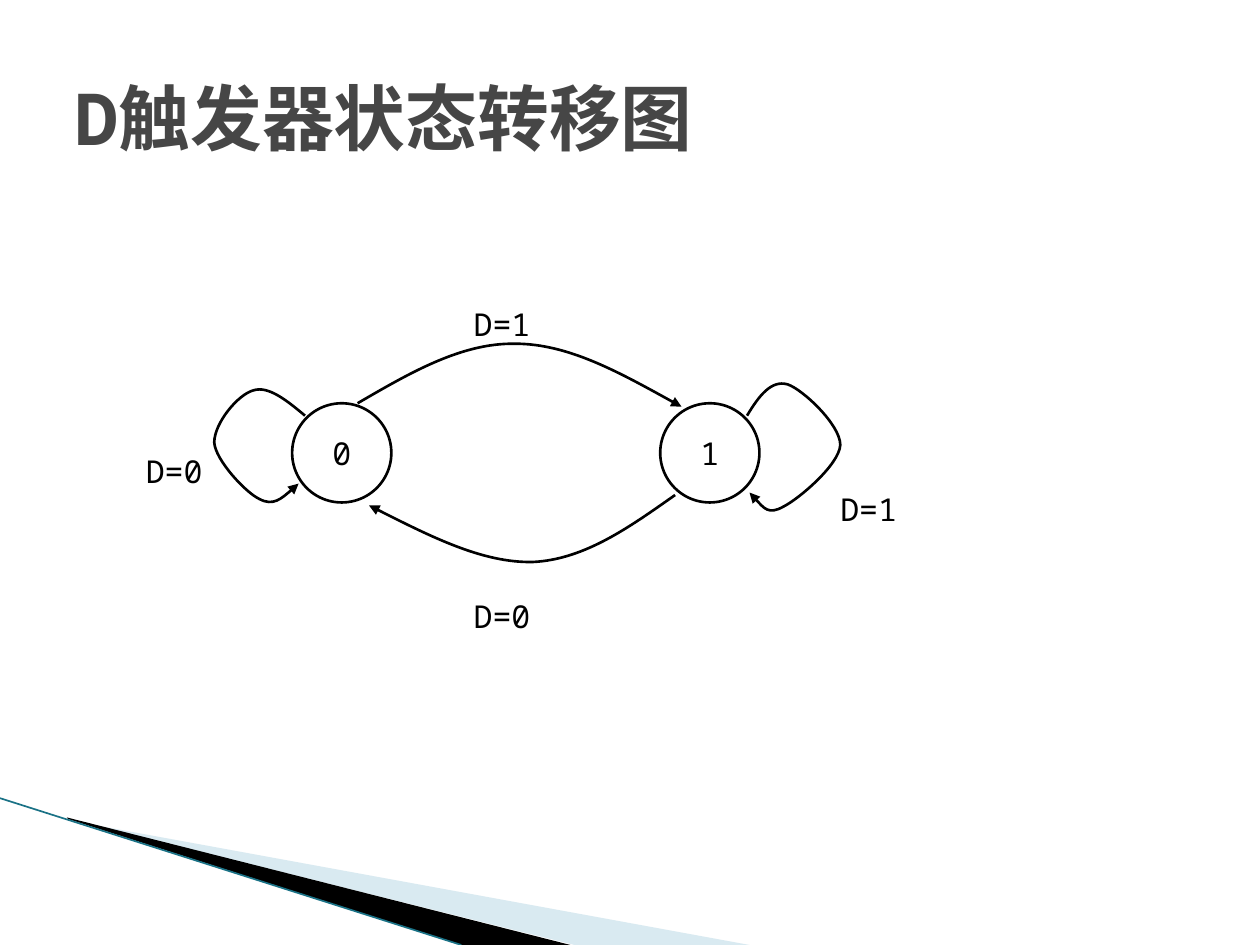
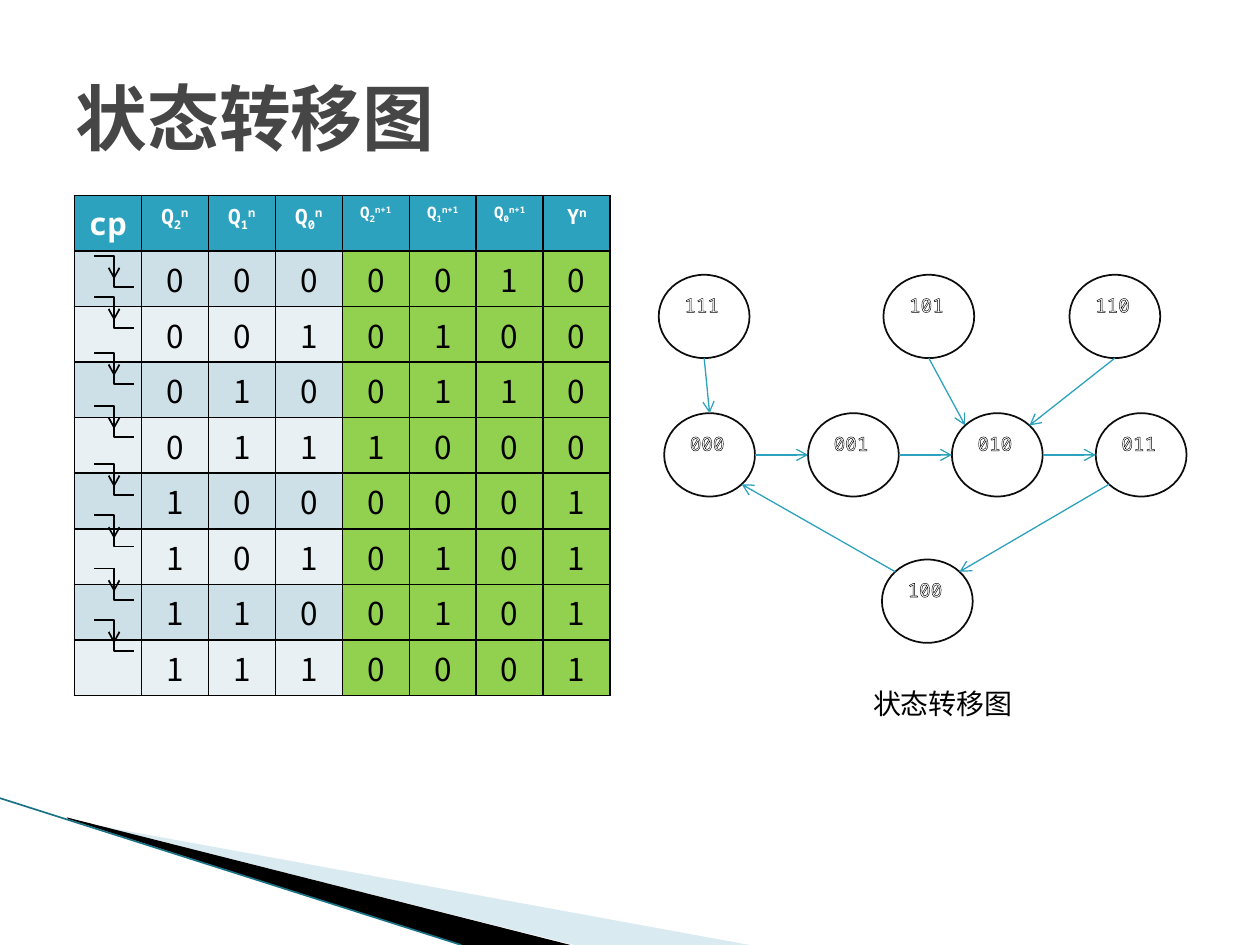
"""Build two slides on flip-flop state transition diagrams."""
from dataclasses import dataclass
from math import sqrt

from lxml import etree
from pptx import Presentation
from pptx.dml.color import RGBColor
from pptx.enum.shapes import MSO_CONNECTOR, MSO_SHAPE
from pptx.enum.text import MSO_ANCHOR, MSO_AUTO_SIZE, PP_ALIGN
from pptx.oxml.ns import qn
from pptx.util import Cm, Pt

STRAIGHT, ELBOW = MSO_CONNECTOR.STRAIGHT, MSO_CONNECTOR.ELBOW
OVAL = MSO_SHAPE.OVAL
TOP, MIDDLE = MSO_ANCHOR.TOP, MSO_ANCHOR.MIDDLE
LEFT, CENTER = PP_ALIGN.LEFT, PP_ALIGN.CENTER
NO_FIT, GROW = MSO_AUTO_SIZE.NONE, MSO_AUTO_SIZE.SHAPE_TO_FIT_TEXT

Point = tuple[float, float]


@dataclass(frozen=True)
class Theme:
    font: str = "Noto Sans Mono"
    cjk_font: str = "Noto Sans CJK SC"
    title: str = "464646"
    ink: str = "000000"
    paper: str = "FFFFFF"
    accent: str = "2DA2BF"
    ring: str = "0D0D0D"
    wash: str = "A0CBDC"
    edge: str = "1A7286"
    next_state: str = "92D050"
    row_fills: tuple[str, str] = ("CDE0E8", "E8F0F4")
    title_size: float = 41
    body_size: float = 18
    caption_size: float = 16
    header_size: float = 12
    small_header_size: float = 9
    code_size: float = 11


@dataclass(frozen=True)
class State:
    code: str
    left: float
    top: float
    width: float
    height: float

    def site(self, across: int, down: int) -> Point:
        """Return the rim point in the given direction."""
        reach = sqrt(across ** 2 + down ** 2)
        return (self.left + self.width / 2 * (1 + across / reach),
                self.top + self.height / 2 * (1 + down / reach))


@dataclass(frozen=True)
class Transition:
    condition: str
    label_at: Point
    curve: tuple[Point, ...]


@dataclass(frozen=True)
class Heading:
    letter: str
    index: str
    moment: str
    size: float


THEME = Theme()

FLIP_FLOP_STATES = (State("0", 5.89, 8.13, 2, 2), State("1", 13.31, 8.13, 2, 2))
TRANSITIONS = (
    Transition("D=1", (9.3, 6.02), (
        (7.21, 8.13), (8.26, 7.52), (9.3, 6.91), (10.39, 6.93),
        (11.46, 6.93), (12.6, 7.57), (13.74, 8.2))),
    Transition("D=0", (9.3, 11.91), (
        (13.61, 9.98), (12.7, 10.62), (11.79, 11.28), (10.74, 11.33),
        (9.73, 11.35), (8.59, 10.77), (7.44, 10.19))),
    Transition("D=0", (2.69, 8.99), (
        (6.15, 8.38), (5.79, 8.08), (5.41, 7.77), (5.11, 7.87),
        (4.8, 7.95), (4.32, 8.53), (4.32, 8.92),
        (4.34, 9.27), (4.95, 9.93), (5.23, 10.06),
        (5.51, 10.21), (5.77, 9.98), (6.02, 9.75))),
    Transition("D=1", (16.69, 9.75), (
        (15.06, 8.38), (15.29, 8), (15.54, 7.65), (15.88, 7.75),
        (16.18, 7.85), (16.94, 8.56), (16.94, 8.97),
        (16.92, 9.37), (16.1, 10.06), (15.8, 10.21),
        (15.49, 10.39), (15.32, 10.16), (15.11, 9.93))),
)

HEADINGS = (
    Heading("cp", "", "", THEME.body_size),
    *(Heading("Q", i, "n", THEME.header_size) for i in "210"),
    *(Heading("Q", i, "n+1", THEME.small_header_size) for i in "210"),
    Heading("Y", "", "n", THEME.header_size),
)
NEXT_AND_OUTPUT = ("0010", "0100", "0110", "1000", "0001", "0101", "0101", "0001")
TABLE_LEFT, TABLE_TOP, COLUMN, ROW = 1.5, 3.94, 1.35, 1.12
FIRST_NEXT_COLUMN = 4
CLOCK_TOPS = (5.16, 5.99, 7.11, 8.18, 9.35, 10.39, 11.46, 12.5)

COUNTER_PLACES = {
    **{f"{n:03b}": (13.39 + 2.9 * n, 8.33) for n in range(4)},
    "100": (17.78, 11.28),
    "111": (13.28, 5.54), "101": (17.81, 5.54), "110": (21.56, 5.54),
}
COUNTER_STEPS = (
    ("000", (1, 0), "001", (-1, 0)),
    ("001", (1, 0), "010", (-1, 0)),
    ("010", (1, 0), "011", (-1, 0)),
    ("111", (0, 1), "000", (0, -1)),
    ("101", (0, 1), "010", (-1, -1)),
    ("110", (0, 1), "010", (1, -1)),
    ("011", (-1, 1), "100", (1, -1)),
    ("100", (-1, -1), "000", (1, 1)),
)


def add_text(frame, text: str, *, size: float, color: str = THEME.ink,
             font: str = THEME.font, bold: bool = False, align=LEFT,
             anchor=TOP, baseline: int = 0, outline: str = "") -> None:
    """Append a formatted run to the first paragraph of a frame."""
    frame.vertical_anchor = anchor
    paragraph = frame.paragraphs[0]
    paragraph.alignment = align
    run = paragraph.add_run()
    run.text = text
    run.font.size, run.font.bold, run.font.name = Pt(size), bold, font
    run.font.color.rgb = RGBColor.from_string(color)
    properties = run.font._element
    etree.SubElement(properties, qn("a:ea")).set("typeface", THEME.cjk_font)
    if baseline:
        properties.set("baseline", str(baseline * 1000))
    if outline:
        properties.insert(0, line_element("a:ln", outline, 0.75))


def line_element(tag: str, color: str, width: float):
    """Return a solid line element."""
    line = etree.Element(qn(tag), w=str(Pt(width)))
    fill = etree.SubElement(line, qn("a:solidFill"))
    etree.SubElement(fill, qn("a:srgbClr")).set("val", color)
    return line


def style_line(line, color: str, width: float, head: str = "") -> None:
    """Colour a line and give it an optional arrowhead."""
    line.color.rgb = RGBColor.from_string(color)
    line.width = Pt(width)
    if head:
        etree.SubElement(line._get_or_add_ln(), qn("a:tailEnd")).set("type", head)


def add_line(slide, start: Point, end: Point, color: str, width: float,
             head: str = "", kind=STRAIGHT):
    """Draw a connector without a shadow."""
    connector = slide.shapes.add_connector(kind, *map(Cm, (*start, *end)))
    style_line(connector.line, color, width, head)
    etree.SubElement(connector._element.spPr, qn("a:effectLst"))
    return connector


def add_outline(slide, points: tuple[Point, ...], close: bool):
    """Build a freeform through the points."""
    first, *rest = [(Cm(x), Cm(y)) for x, y in points]
    builder = slide.shapes.build_freeform(*first)
    builder.add_line_segments(rest, close=close)
    shape = builder.convert_to_shape()
    shape.shadow.inherit = False
    return shape


def add_wedge(slide, points: tuple[Point, ...], color: str, opacity: int = 100):
    """Draw a filled wedge."""
    wedge = add_outline(slide, points, True)
    wedge.line.fill.background()
    wedge.fill.solid()
    wedge.fill.fore_color.rgb = RGBColor.from_string(color)
    tint = wedge._element.spPr.find(f".//{qn('a:srgbClr')}")
    etree.SubElement(tint, qn("a:alpha")).set("val", str(opacity * 1000))
    return wedge


def add_curve(slide, points: tuple[Point, ...]) -> None:
    """Draw an arrow along cubic curves through the control points."""
    arrow = add_outline(slide, points, False)
    arrow.fill.background()
    style_line(arrow.line, THEME.ink, 1.5, "triangle")
    route = arrow._element.spPr.find(f".//{qn('a:path')}")
    legs = route.findall(qn("a:lnTo"))
    for i in range(0, len(legs), 3):
        bend = etree.SubElement(route, qn("a:cubicBezTo"))
        for leg in legs[i:i + 3]:
            bend.append(leg[0])
            route.remove(leg)


def add_state(slide, state: State, ring: str, width: float, **text_format) -> None:
    """Draw a state circle with its code."""
    circle = slide.shapes.add_shape(
        OVAL, *map(Cm, (state.left, state.top, state.width, state.height)))
    circle.shadow.inherit = False
    circle.fill.background()
    style_line(circle.line, ring, width)
    add_text(circle.text_frame, state.code, **text_format)


def add_label(slide, text: str, at: Point, extent: Point, size: float) -> None:
    """Place a text box that fits its text."""
    frame = slide.shapes.add_textbox(*map(Cm, (*at, *extent))).text_frame
    frame.word_wrap = False
    frame.auto_size = GROW
    add_text(frame, text, size=size)


def add_slide(deck, layout, title: str):
    """Add a slide with the shared title style."""
    slide = deck.slides.add_slide(layout)
    heading = slide.shapes.title
    heading.left, heading.top, heading.width, heading.height = map(
        Cm, (1.27, 0.76, 22.86, 3.18))
    heading.text_frame.auto_size = NO_FIT
    add_text(heading.text_frame, title, size=THEME.title_size, color=THEME.title,
             bold=True, anchor=MIDDLE)
    return slide


def share_band(slide) -> None:
    """Draw the corner band and move it to the layout."""
    parts = (
        add_wedge(slide, ((1.4, 16.54), (15.11, 19.05), (11.58, 19.05),
                          (1.4, 16.51)), THEME.wash, 40),
        add_wedge(slide, ((1.35, 16.48), (11.5, 19.05), (9.3, 19.05),
                          (1.37, 16.51)), THEME.ink),
        add_line(slide, (0, 16.09), (9.3, 19.05), THEME.edge, 0.95),
    )
    for part in parts:
        slide.slide_layout.shapes._spTree.append(part._element)


def format_cell(cell, fill: str) -> None:
    """Fill a cell and border it."""
    cell.fill.solid()
    cell.fill.fore_color.rgb = RGBColor.from_string(fill)
    properties = cell._tc.get_or_add_tcPr()
    for i, side in enumerate(("a:lnL", "a:lnR", "a:lnT", "a:lnB")):
        properties.insert(i, line_element(side, THEME.ink, 1))


def add_truth_table(slide) -> None:
    """Add the state table with its clock edges."""
    columns, rows = len(HEADINGS), len(NEXT_AND_OUTPUT) + 1
    table = slide.shapes.add_table(rows, columns, *map(
        Cm, (TABLE_LEFT, TABLE_TOP, COLUMN * columns, ROW * rows))).table
    for column in table.columns:
        column.width = Cm(COLUMN)
    for row in table.rows:
        row.height = Cm(ROW)
    for c, heading in enumerate(HEADINGS):
        cell = table.cell(0, c)
        format_cell(cell, THEME.accent)
        for part, shift in ((heading.letter, 0), (heading.index, -25),
                            (heading.moment, 30)):
            if part:
                add_text(cell.text_frame, part, size=heading.size, color=THEME.paper,
                         bold=True, align=CENTER, baseline=shift)
    for r, results in enumerate(NEXT_AND_OUTPUT):
        for c, bit in enumerate(("", *f"{r:03b}", *results)):
            cell = table.cell(r + 1, c)
            format_cell(cell, THEME.next_state if c >= FIRST_NEXT_COLUMN
                        else THEME.row_fills[r % 2])
            cell.margin_left = cell.margin_right = 0
            cell.margin_top = cell.margin_bottom = 0
            cell.vertical_anchor = MIDDLE
            if bit:
                add_text(cell.text_frame, bit, size=THEME.body_size,
                         font=THEME.cjk_font, align=CENTER, anchor=MIDDLE)
    for top in CLOCK_TOPS:
        add_line(slide, (1.9, top), (2.7, top + 0.63), THEME.ink, 1, kind=ELBOW)
        add_line(slide, (2.3, top), (2.3, top + 0.47), THEME.ink, 1, "arrow")


def add_counter_diagram(slide) -> None:
    """Draw the counter's states and steps."""
    states = {code: State(code, *place, 1.83, 1.68)
              for code, place in COUNTER_PLACES.items()}
    for state in states.values():
        add_state(slide, state, THEME.ring, 1, size=THEME.code_size,
                  color=THEME.paper, outline=THEME.ink)
    for source, leave, target, enter in COUNTER_STEPS:
        add_line(slide, states[source].site(*leave), states[target].site(*enter),
                 THEME.accent, 0.75, "arrow")
    add_label(slide, "状态转移图", (17.35, 13.72), (3.35, 0.94), THEME.caption_size)


def main() -> None:
    """Build and save the deck."""
    deck = Presentation()
    deck.slide_width, deck.slide_height = Cm(25.4), Cm(19.05)
    layout = deck.slide_layouts[5]

    flip_flop = add_slide(deck, layout, "D触发器状态转移图")
    share_band(flip_flop)
    for state in FLIP_FLOP_STATES:
        add_state(flip_flop, state, THEME.ink, 1.5, size=THEME.body_size,
                  align=CENTER, anchor=MIDDLE)
    for move in TRANSITIONS:
        add_curve(flip_flop, move.curve)
        add_label(flip_flop, move.condition, move.label_at, (1.9, 1.02), THEME.body_size)

    counter = add_slide(deck, layout, "状态转移图")
    add_truth_table(counter)
    add_counter_diagram(counter)
    deck.save("out.pptx")


if __name__ == "__main__":
    main()
